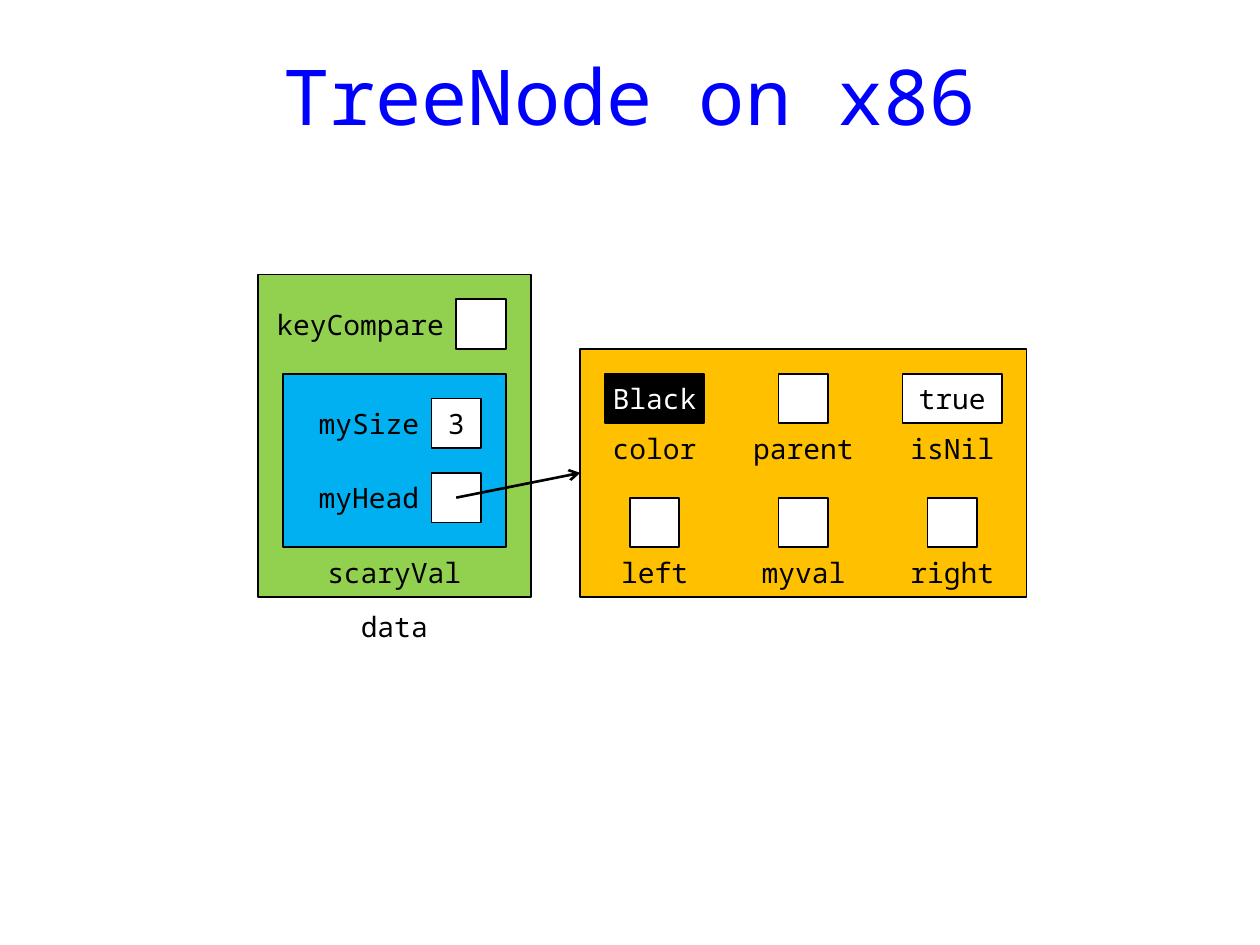
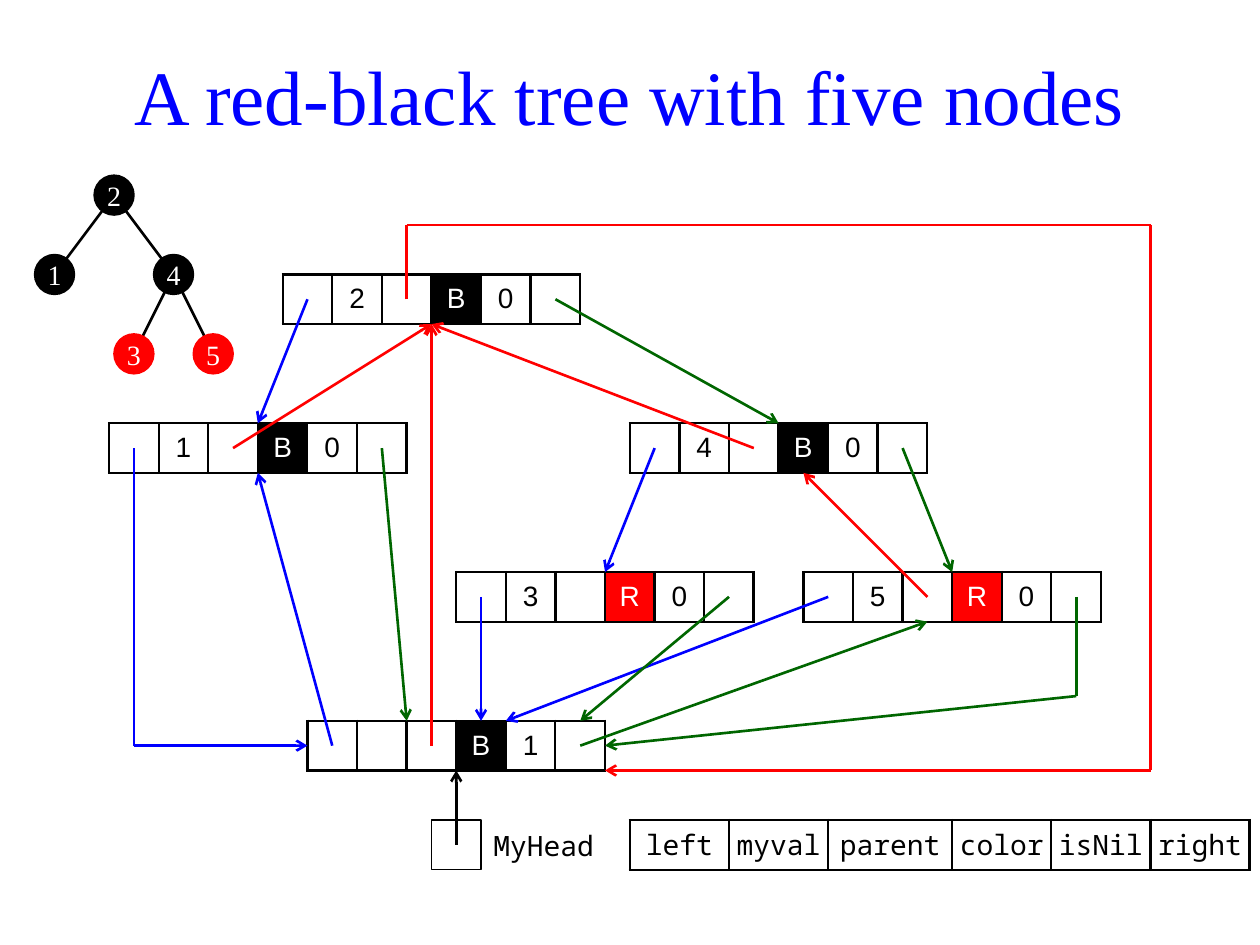
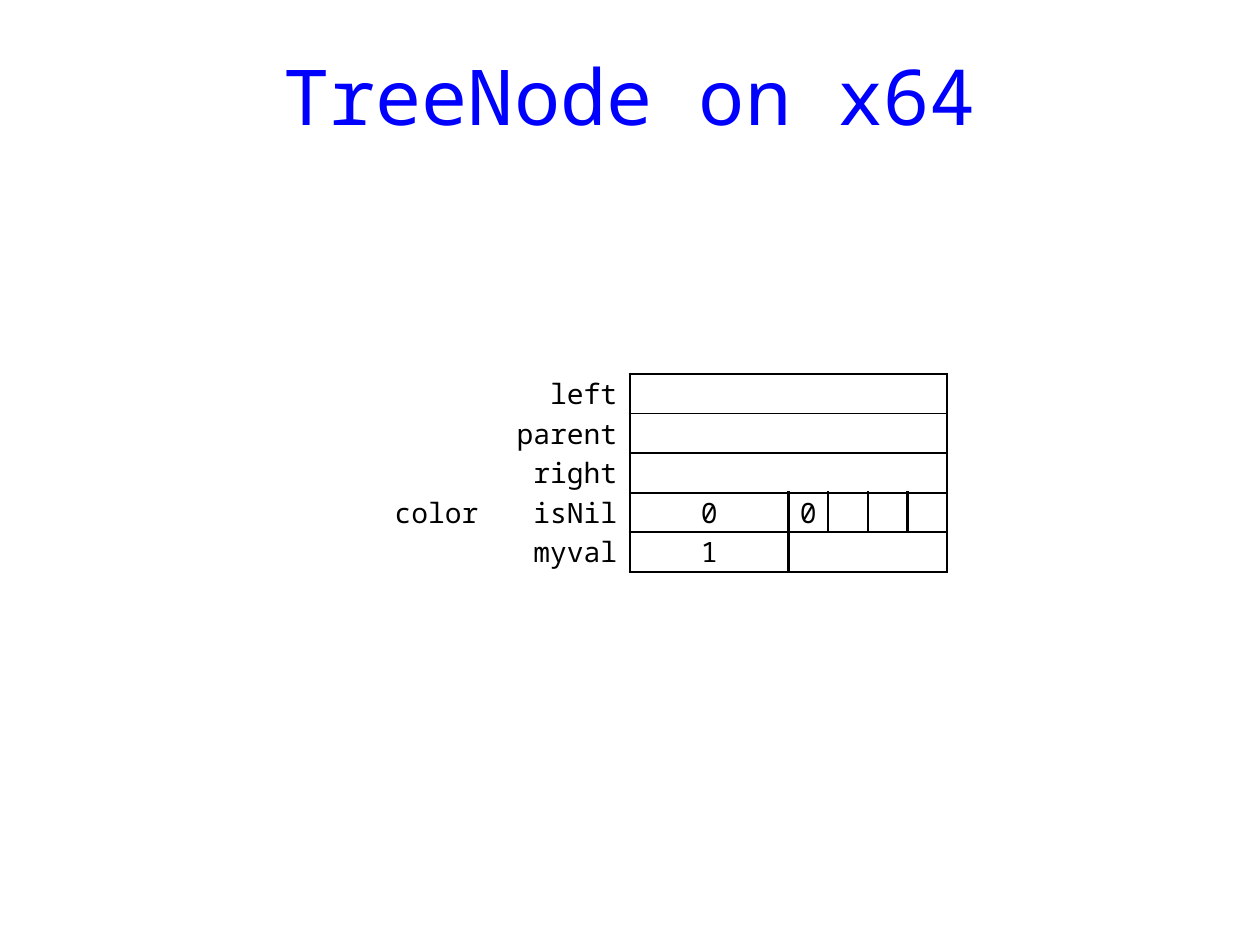
"""Builds three slides on how a red-black tree is laid out in memory."""
import pptx
import pptx.dml.color
import pptx.enum.shapes
import pptx.enum.text
import pptx.oxml
import pptx.oxml.ns
import pptx.util

Pt = pptx.util.Pt
RGBColor = pptx.dml.color.RGBColor
SHAPE = pptx.enum.shapes.MSO_SHAPE
ALIGN = pptx.enum.text.PP_ALIGN
MIDDLE = pptx.enum.text.MSO_ANCHOR.MIDDLE

BLACK = RGBColor(0x00, 0x00, 0x00)
WHITE = RGBColor(0xFF, 0xFF, 0xFF)
BLUE = RGBColor(0x00, 0x00, 0xFF)
RED = RGBColor(0xFF, 0x00, 0x00)
GREEN = RGBColor(0x00, 0x66, 0x00)
LIME = RGBColor(0x92, 0xD0, 0x50)
AMBER = RGBColor(0xFF, 0xC0, 0x00)
SKY = RGBColor(0x00, 0xB0, 0xF0)

MONO = "Noto Sans Mono"
SANS = "Arial"
SERIF = "Times New Roman"

GRID = 14.17
GRID_LEFT = 5.67
GRID_TOP = 1
GAP = 7.2
TEXT_SIZE = 16
THIN = 1
THICK = 1.5
NO_STYLE = "{2D5ABB26-0587-4C30-8999-92F81FD0307C}"


def across(column):
    """Return the horizontal position of a grid column."""
    return Pt(GRID_LEFT + GRID * column)


def down(row):
    """Return the vertical position of a grid row."""
    return Pt(GRID_TOP + GRID * row)


def span_of(units):
    """Return the length of a number of grid units."""
    return Pt(GRID * units)


class Sketch:
    """Holds the deck, its style and the current slide."""

    def __init__(self):
        """Start an empty deck."""
        self.deck = pptx.Presentation()
        self.deck.slide_width = Pt(720)
        self.deck.slide_height = Pt(540)
        self.page = None

    def start_page(self, title, font):
        """Add a slide with its title."""
        self.page = self.deck.slides.add_slide(self.deck.slide_layouts[5])
        box = self.page.shapes.title
        box.left, box.top, box.width, box.height = Pt(33.8), Pt(15.1), Pt(652.4), Pt(85)
        box.text_frame.auto_size = pptx.enum.text.MSO_AUTO_SIZE.NONE
        box.text_frame.vertical_anchor = MIDDLE
        para = box.text_frame.paragraphs[0]
        para.line_spacing = 0.9
        self.add_span(para, title, font, BLUE, ALIGN.CENTER, 44)

    def add_span(self, para, text, font, colour, align, size=TEXT_SIZE):
        """Add one run of text to a paragraph."""
        para.alignment = align
        span = para.add_run()
        span.text = text
        span.font.name = font
        span.font.size = Pt(size)
        span.font.color.rgb = colour

    def fill_frame(self, box, text, font, colour, align):
        """Write centred-height text into a shape."""
        frame = box.text_frame
        frame.word_wrap = True
        frame.vertical_anchor = MIDDLE
        frame.margin_top = frame.margin_bottom = 0
        frame.margin_left = Pt(GAP if align == ALIGN.LEFT else 0)
        frame.margin_right = Pt(GAP if align == ALIGN.RIGHT else 0)
        self.add_span(frame.paragraphs[0], text, font, colour, align)

    def label(self, column, row, width, height, text, align=ALIGN.CENTER):
        """Add a text label on the grid."""
        box = self.page.shapes.add_textbox(
            across(column), down(row), span_of(width), span_of(height))
        self.fill_frame(box, text, MONO, BLACK, align)

    def shape(self, column, row, width, height, fill=WHITE, text="", colour=BLACK,
              kind=SHAPE.RECTANGLE, line=BLACK, font=MONO):
        """Add a filled shape on the grid."""
        box = self.page.shapes.add_shape(
            kind, across(column), down(row), span_of(width), span_of(height))
        box.shadow.inherit = False
        box.fill.solid()
        box.fill.fore_color.rgb = fill
        box.line.color.rgb = line
        box.line.width = Pt(THIN)
        if text:
            self.fill_frame(box, text, font, colour, ALIGN.CENTER)

    def route(self, colour, *points, arrow=True):
        """Join grid points with lines, with an arrowhead at the last."""
        for start, end in zip(points, points[1:]):
            line = self.page.shapes.add_connector(
                pptx.enum.shapes.MSO_CONNECTOR.STRAIGHT,
                across(start[0]), down(start[1]), across(end[0]), down(end[1]))
            line.line.color.rgb = colour
            line.line.width = Pt(THICK)
            properties = line._element.spPr
            if arrow and end == points[-1]:
                outline = properties.find(pptx.oxml.ns.qn("a:ln"))
                self.add_xml(outline, '<a:tailEnd %s type="arrow"/>')
            self.add_xml(properties, "<a:effectLst %s/>")

    def add_xml(self, parent, markup):
        """Append a drawing element to its parent."""
        parent.append(pptx.oxml.parse_xml(markup % pptx.oxml.ns.nsdecls("a")))

    def table(self, column, row, widths, heights):
        """Add a plain table on the grid."""
        frame = self.page.shapes.add_table(
            len(heights), len(widths), across(column), down(row),
            span_of(sum(widths)), span_of(sum(heights)))
        table = frame.table
        table.first_row = table.horz_banding = False
        table._tbl.tblPr.find(pptx.oxml.ns.qn("a:tableStyleId")).text = NO_STYLE
        for part, width in zip(table.columns, widths):
            part.width = span_of(width)
        for part, height in zip(table.rows, heights):
            part.height = span_of(height)
        return table

    def cell(self, cell, text, font, fill=None, align=ALIGN.CENTER, sides="LRTB", thin=""):
        """Format one table cell and its borders."""
        cell.margin_left = cell.margin_top = cell.margin_bottom = 0
        cell.margin_right = Pt(GAP if align == ALIGN.RIGHT else 0)
        cell.vertical_anchor = MIDDLE
        properties = cell._tc.get_or_add_tcPr()
        for side in sides:
            width = Pt(THIN if side in thin else THICK)
            self.add_xml(properties, f'<a:ln{side} %s w="{width}"><a:solidFill>'
                         f'<a:srgbClr val="{BLACK}"/></a:solidFill></a:ln{side}>')
        if fill is None:
            cell.fill.background()
        else:
            cell.fill.solid()
            cell.fill.fore_color.rgb = fill
        if text:
            colour = BLACK if fill is None else WHITE
            self.add_span(cell.text_frame.paragraphs[0], text, font, colour, align)

    def strip(self, column, row, widths, texts, font, fills=()):
        """Add a one-row table of bordered cells."""
        table = self.table(column, row, widths, [2])
        for index, text in enumerate(texts):
            self.cell(table.cell(0, index), text, font, dict(fills).get(index))

    def tree_node(self, column, row, value, colour_name, is_nil):
        """Add the six fields of a tree node."""
        fill = BLACK if colour_name == "B" else RED
        self.strip(column, row, [2] * 6, ["", value, "", colour_name, is_nil, ""],
                   SANS, [(3, fill)])


def build_x86_page(sketch):
    """Draw the tree header and its head node."""
    sketch.start_page("TreeNode on x86", MONO)
    sketch.shape(10, 11, 11, 13, LIME)
    sketch.shape(11, 15, 9, 7, SKY)
    sketch.shape(23, 14, 18, 10, AMBER)

    fields = (("color", "Black"), ("parent", ""), ("isNil", "true"),
              ("left", ""), ("myval", ""), ("right", ""))
    for index, (name, value) in enumerate(fields):
        center, row = 26 + 6 * (index % 3), 15 + 5 * (index // 3)
        width = 4 if value else 2
        fill, colour = (BLACK, WHITE) if value == "Black" else (WHITE, BLACK)
        sketch.shape(center - width / 2, row, width, 2, fill, value, colour)
        sketch.label(center - 3, row + 2, 6, 2, name)

    members = (("keyCompare", "", 18, 12), ("mySize", "3", 17, 16), ("myHead", "", 17, 19))
    for name, value, column, row in members:
        sketch.shape(column, row, 2, 2, text=value)
        sketch.label(column - 8, row, 8, 2, name, ALIGN.RIGHT)
    sketch.label(12, 22, 7, 2, "scaryVal")
    sketch.label(13, 24, 5, 2.4, "data")
    sketch.route(BLACK, (18, 20), (23, 19))


def build_five_node_page(sketch):
    """Draw five linked nodes, their sentinel and a small tree."""
    sketch.start_page("A red-black tree with five nodes", SERIF)
    nodes = ((11, 11, "2", "B", "0"), (4, 17, "1", "B", "0"), (25, 17, "4", "B", "0"),
             (18, 23, "3", "R", "0"), (32, 23, "5", "R", "0"), (12, 29, "", "B", "1"))
    for node in nodes:
        sketch.tree_node(*node)
    sketch.shape(17, 33, 2, 2)
    sketch.label(19, 33, 6, 2, "MyHead", ALIGN.LEFT)
    sketch.strip(25, 33, [4, 4, 5, 4, 4, 4],
                 ["left", "myval", "parent", "color", "isNil", "right"], MONO)

    pointers = {
        BLUE: (((12, 12), (10, 17)), ((5, 18), (5, 30), (12, 30)),
               ((26, 18), (24, 23)), ((13, 30), (10, 19)),
               ((19, 24), (19, 29)), ((33, 24), (20, 29))),
        GREEN: (((22, 12), (31, 17)), ((15, 18), (16, 29)), ((36, 18), (38, 23)),
                ((29, 24), (23, 29)), ((43, 24), (43, 28), (24, 30)),
                ((23, 30), (37, 25))),
        RED: (((16, 12), (16, 9), (46, 9), (46, 31), (24, 31)),
              ((9, 18), (17, 13)), ((30, 18), (17, 13)),
              ((37, 24), (32, 19)), ((17, 30), (17, 13))),
        BLACK: (((18, 34), (18, 31)),),
    }
    for colour, routes in pointers.items():
        for points in routes:
            sketch.route(colour, *points)

    centers = {"2": (4.2, 7.8), "1": (1.8, 11), "4": (6.6, 11),
               "3": (5, 14.2), "5": (8.2, 14.2)}
    for parent, child in ("21", "24", "43", "45"):
        sketch.route(BLACK, centers[parent], centers[child], arrow=False)
    for value, (column, row) in centers.items():
        fill = RED if value in "35" else BLACK
        sketch.shape(column - 0.8, row - 0.8, 1.6, 1.6, fill, value, WHITE,
                     SHAPE.OVAL, fill, SERIF)


def build_x64_page(sketch):
    """Draw the node fields as rows of bytes."""
    sketch.start_page("TreeNode on x64", MONO)
    pointer_thin = ("B", "TB", "T", "", "")
    rows = (
        ((0, 1, "left"), (2, 6, "")),
        ((0, 1, "parent"), (2, 6, "")),
        ((0, 1, "right"), (2, 6, "")),
        ((0, 0, "color"), (1, 1, "isNil"), (2, 2, "0"), (3, 3, "0"),
         (4, 4, ""), (5, 5, ""), (6, 6, "")),
        ((0, 1, "myval"), (2, 2, "1"), (3, 6, "")),
    )
    table = sketch.table(13.8, 15, [5.6, 5.6, 6.4] + [1.6] * 4, [1.6] * len(rows))
    for row, parts in enumerate(rows):
        for first, last, text in parts:
            is_label = first < 2
            if last > first:
                table.cell(row, first).merge(table.cell(row, last))
            for column in range(first, last + 1):
                if is_label:
                    sides = "R" if last == 1 else ""
                elif column == first:
                    sides = "LRTB"
                else:
                    sides = "RTB" if column == last else "TB"
                sketch.cell(table.cell(row, column), text if column == first else "", MONO,
                            align=ALIGN.RIGHT if is_label else ALIGN.CENTER,
                            sides=sides, thin=pointer_thin[row])


def main():
    """Build the deck and save it."""
    sketch = Sketch()
    build_x86_page(sketch)
    build_five_node_page(sketch)
    build_x64_page(sketch)
    sketch.deck.save("out.pptx")


if __name__ == "__main__":
    main()
